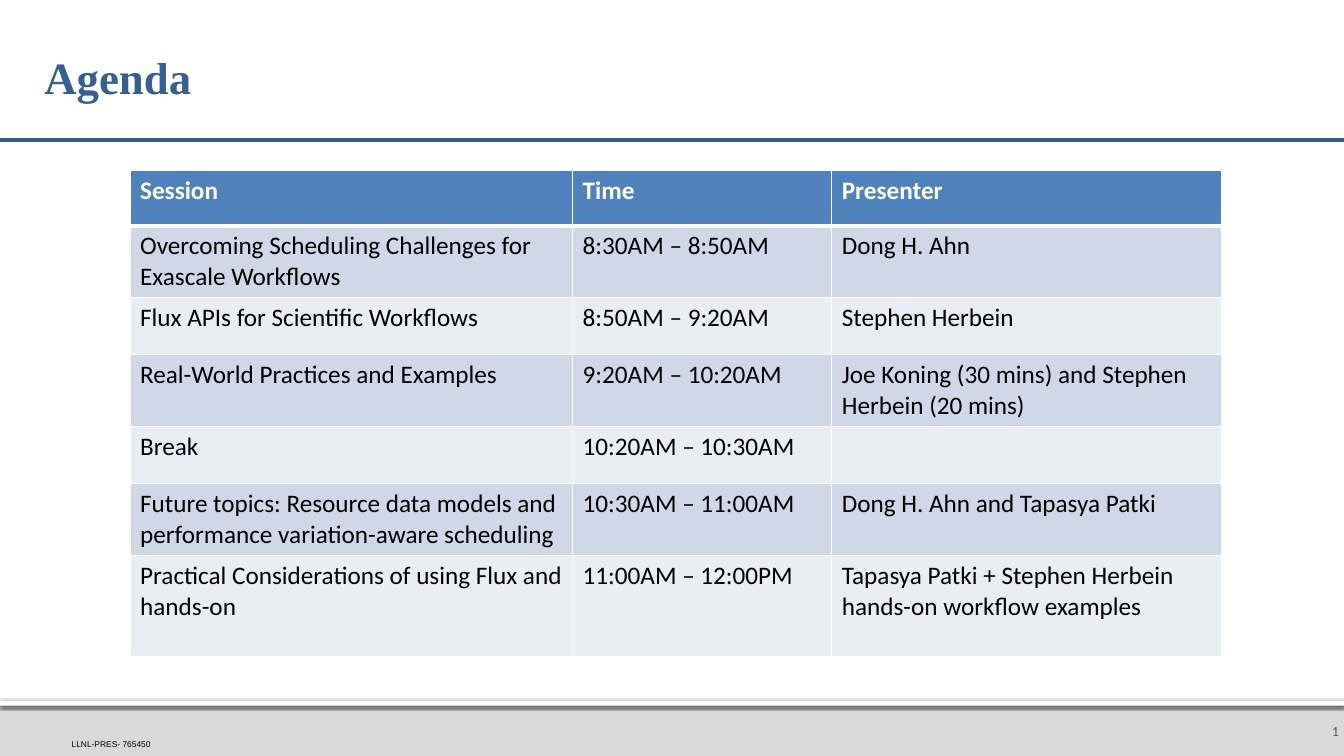
from dataclasses import dataclass

from lxml.etree import SubElement
from pptx import Presentation
from pptx.dml.color import RGBColor
from pptx.enum.shapes import MSO_CONNECTOR, MSO_SHAPE
from pptx.enum.text import MSO_ANCHOR, PP_ALIGN
from pptx.oxml.ns import qn
from pptx.util import Inches, Pt

WIDTH, HEIGHT = Inches(13.333), Inches(7.5)


@dataclass(frozen=True)
class Theme:
    title_font: str = "Times New Roman"
    body_font: str = "Calibri"
    release_font: str = "Arial"
    title_size: int = 32
    table_size: int = 18
    number_size: int = 10
    release_size: int = 6
    navy: str = "376092"
    header: str = "4F81BD"
    bands: tuple = ("D0D8E8", "E9EDF4")
    footer: str = "D9D9D9"
    white: str = "FFFFFF"
    black: str = "000000"
    gray: str = "595959"


THEME = Theme()

# Percent of the slide's width and height
COLUMNS = (32.93, 19.28, 29.03)
HEADER_ROW, SINGLE_ROW, DOUBLE_ROW, LAST_ROW = 7.33, 7.6, 9.47, 13.33

AGENDA = (
    (HEADER_ROW, "Session", "Time", "Presenter"),
    (DOUBLE_ROW, "Overcoming Scheduling Challenges for Exascale Workflows",
     "8:30AM – 8:50AM", "Dong H. Ahn"),
    (SINGLE_ROW, "Flux APIs for Scientific Workflows",
     "8:50AM – 9:20AM", "Stephen Herbein"),
    (DOUBLE_ROW, "Real-World Practices and Examples",
     "9:20AM – 10:20AM", "Joe Koning (30 mins) and Stephen Herbein (20 mins)"),
    (SINGLE_ROW, "Break", "10:20AM – 10:30AM", ""),
    (DOUBLE_ROW, "Future topics: Resource data models and performance variation-aware scheduling",
     "10:30AM – 11:00AM", "Dong H. Ahn and Tapasya Patki"),
    (LAST_ROW, "Practical Considerations of using Flux and hands-on",
     "11:00AM – 12:00PM", "Tapasya Patki + Stephen Herbein hands-on workflow examples"),
)


def across(percent):
    return round(WIDTH * percent / 100)


def down(percent):
    return round(HEIGHT * percent / 100)


def area(left, top, width, height):
    return across(left), down(top), across(width), down(height)


def set_font(para, name, size, color, bold=False):
    para.font.name = name
    para.font.size = Pt(size)
    para.font.bold = bold
    para.font.color.rgb = RGBColor.from_string(color)


def add_text(page, place, text, font, anchor, margins, align=PP_ALIGN.LEFT, spacing=1.0):
    """Margins are left, top, right, bottom in inches; font holds set_font's arguments."""
    frame = page.shapes.add_textbox(*area(*place)).text_frame
    frame.word_wrap = True
    frame.vertical_anchor = anchor
    (frame.margin_left, frame.margin_top,
     frame.margin_right, frame.margin_bottom) = map(Inches, margins)
    para = frame.paragraphs[0]
    para.text = text
    para.alignment = align
    para.line_spacing = spacing
    set_font(para, *font)


def add_bar(page, place, color):
    bar = page.shapes.add_shape(MSO_SHAPE.RECTANGLE, *area(*place))
    bar.shadow.inherit = False
    bar.fill.solid()
    bar.fill.fore_color.rgb = RGBColor.from_string(color)
    bar.line.fill.background()
    return bar


def add_drop_shadow(shape):
    effects = shape._element.spPr.find(qn("a:effectLst"))
    shadow = SubElement(effects, qn("a:outerShdw"), blurRad=str(Pt(2.5)),
                        dist=str(Pt(0.8)), dir="5400000", rotWithShape="0")
    color = SubElement(shadow, qn("a:srgbClr"), val=THEME.black)
    SubElement(color, qn("a:alpha"), val="60000")


def add_rule(page, top):
    rule = page.shapes.add_connector(MSO_CONNECTOR.STRAIGHT, 0, down(top), WIDTH, down(top))
    rule.line.color.rgb = RGBColor.from_string(THEME.navy)
    rule.line.width = Pt(3)
    SubElement(rule._element.spPr, qn("a:effectLst"))


def set_borders(cell, top, bottom):
    """Draw white borders; top and bottom are widths in points."""
    properties = cell._tc.get_or_add_tcPr()
    sides = (("a:lnL", 1), ("a:lnR", 1), ("a:lnT", top), ("a:lnB", bottom))
    for position, (tag, width) in enumerate(sides):
        border = SubElement(properties, qn(tag), w=str(Pt(width)))
        fill = SubElement(border, qn("a:solidFill"))
        SubElement(fill, qn("a:srgbClr"), val=THEME.white)
        properties.insert(position, border)


def add_agenda(page, left, top):
    heights = [row[0] for row in AGENDA]
    place = area(left, top, sum(COLUMNS), sum(heights))
    table = page.shapes.add_table(len(AGENDA), len(COLUMNS), *place).table
    for column, width in zip(table.columns, COLUMNS):
        column.width = across(width)
    for index, (height, *texts) in enumerate(AGENDA):
        is_header = index == 0
        color = THEME.header if is_header else THEME.bands[(index - 1) % 2]
        table.rows[index].height = down(height)
        for cell, text in zip(table.rows[index].cells, texts):
            cell.fill.solid()
            cell.fill.fore_color.rgb = RGBColor.from_string(color)
            set_borders(cell, 3 if index == 1 else 1, 3 if is_header else 1)
            para = cell.text_frame.paragraphs[0]
            if text:
                para.text = text
            set_font(para, THEME.body_font, THEME.table_size,
                     THEME.white if is_header else THEME.black, is_header)


def add_footer(page):
    add_bar(page, (0, 92.67, 100, 7.33), THEME.footer)
    add_drop_shadow(add_bar(page, (0, 92.67, 100, 0.67), THEME.white))
    add_text(page, (96.55, 93.33, 3.45, 6.67), "1",
             (THEME.body_font, THEME.number_size, THEME.gray),
             MSO_ANCHOR.MIDDLE, (0.1, 0.05, 0.05, 0.05), PP_ALIGN.RIGHT)
    add_text(page, (5.33, 97.73, 9.53, 1.33), "LLNL-PRES- 765450",
             (THEME.release_font, THEME.release_size, THEME.black),
             MSO_ANCHOR.BOTTOM, (0, 0, 0, 0))


def main():
    deck = Presentation()
    deck.slide_width, deck.slide_height = WIDTH, HEIGHT
    page = deck.slides.add_slide(deck.slide_layouts[6])
    add_footer(page)
    add_rule(page, 18.53)
    add_text(page, (3.3, 3.2, 94.07, 14.67), "Agenda",
             (THEME.title_font, THEME.title_size, THEME.navy, True),
             MSO_ANCHOR.MIDDLE, (0, 0.05, 0.05, 0.05), spacing=0.9)
    add_agenda(page, 9.68, 22.53)
    deck.save("out.pptx")


if __name__ == "__main__":
    main()
